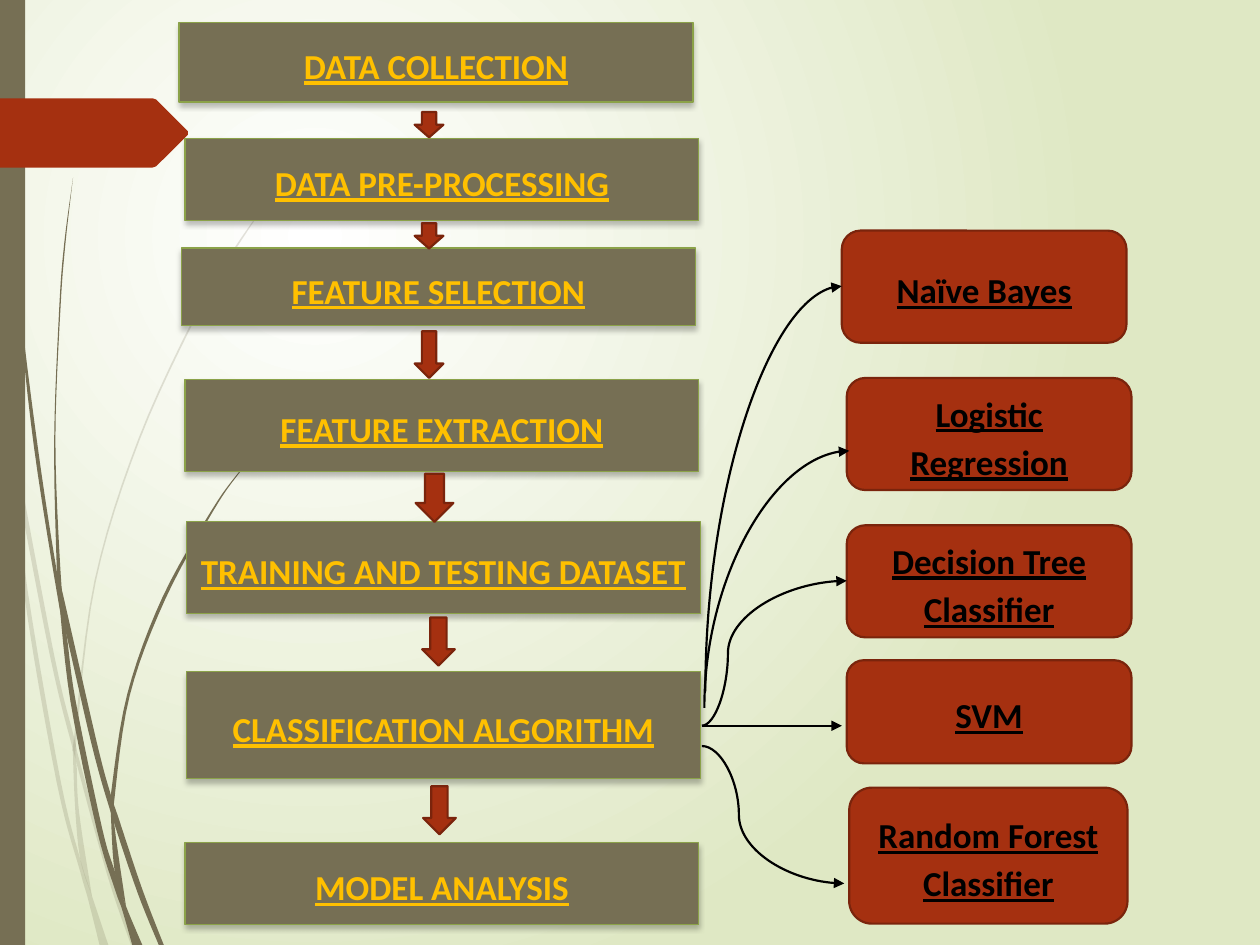
from dataclasses import dataclass
from typing import NamedTuple

from pptx import Presentation
from pptx.dml.color import RGBColor
from pptx.enum import shapes as kinds, text as txt
from pptx.oxml import parse_xml
from pptx.oxml.ns import nsdecls, qn
from pptx.util import Cm, Pt


@dataclass(frozen=True)
class Theme:
    olive: str = "766F54"
    rust: str = "A53010"
    gold: str = "FFC000"
    black: str = "000000"
    green: str = "8BA249"
    brown: str = "7A240C"
    white: str = "FFFFFF"
    pale: str = "DFE8C4"
    font: str = "Calibri"
    size: int = 20
    thin: float = 0.75
    thick: float = 1.25


class Box(NamedTuple):
    left: float
    top: float
    width: float
    height: float
    label: str = ""


class Link(NamedTuple):
    start: tuple[float, float]
    end: tuple[float, float]
    form: str
    bend: float | None = None


class Wisp(NamedTuple):
    outer: list[tuple[int, int]]
    inner: list[tuple[int, int]]
    alpha: int = 100


LOOK = Theme()
UNIT = Cm(2.54) / 100
STEP = 10.36
SIDE = 5.74

STEPS = [
    Box(3.61, 0.46, STEP, 1.6, "DATA COLLECTION"),
    Box(3.73, 2.79, STEP, 1.65, "DATA PRE-PROCESSING"),
    Box(3.66, 5, STEP, 1.57, "FEATURE SELECTION"),
    Box(3.73, 7.65, STEP, 1.85, "FEATURE EXTRACTION"),
    Box(3.76, 10.52, STEP, 1.85, "TRAINING AND TESTING DATASET"),
    Box(3.76, 13.54, STEP, 2.16, "CLASSIFICATION ALGORITHM"),
    Box(3.73, 16.99, STEP, 1.65, "MODEL ANALYSIS"),
]
ARROWS = [
    Box(8.36, 2.26, 0.58, 0.51),
    Box(8.36, 4.5, 0.58, 0.51),
    Box(8.36, 6.68, 0.58, 0.94),
    Box(8.38, 9.55, 0.76, 0.97),
    Box(8.51, 12.45, 0.66, 0.97),
    Box(8.53, 15.85, 0.66, 0.97),
]
MODELS = [
    Box(16.97, 4.65, SIDE, 2.26, "Naïve Bayes"),
    Box(17.07, 7.62, SIDE, 2.26, "Logistic Regression"),
    Box(17.07, 10.59, SIDE, 2.26, "Decision Tree Classifier"),
    Box(17.07, 13.31, SIDE, 2.08, "SVM"),
    Box(17.12, 15.88, 5.61, 2.74, "Random Forest Classifier"),
]
LINKS = [
    Link((14.22, 13.94), (16.97, 5.77), "curvedConnector2"),
    Link((14.2, 14.27), (17.12, 9.09), "curvedConnector2"),
    Link((14.15, 14.63), (17.07, 11.71), "curvedConnector3", 0.18),
    Link((14.15, 14.63), (16.97, 14.63), "line"),
    Link((14.15, 15.04), (17.02, 17.81), "curvedConnector3", 0.26),
]
WISPS = [
    Wisp([(0, 282), (10, 345), (43, 520), (59, 586), (64, 607), (88, 692), (108, 750)],
         [(0, 299), (7, 344), (12, 376), (40, 522), (59, 599), (85, 694), (104, 750)], 20),
    Wisp([(8, 350), (12, 376), (22, 469), (48, 619), (64, 683), (73, 711), (86, 750)],
         [(8, 350), (19, 470), (45, 621), (64, 693), (70, 714), (79, 750)], 20),
    Wisp([(217, 153), (187, 198), (159, 245), (111, 349), (76, 462), (61, 584), (61, 610),
          (63, 646), (73, 711)],
         [(217, 153), (186, 197), (158, 244), (110, 348), (75, 461), (59, 584), (58, 599),
          (60, 646), (64, 683), (73, 711)], 20),
    Wisp([(3, 0), (4, 48), (6, 109), (15, 232), (30, 355), (45, 453), (50, 472), (77, 590),
          (88, 631), (94, 649), (113, 706), (130, 750)],
         [(2, 0), (3, 48), (5, 110), (14, 233), (27, 355), (47, 481), (53, 505), (73, 592),
          (88, 645), (109, 708), (126, 750)]),
    Wisp([(47, 477), (53, 505), (60, 556), (81, 657), (91, 691), (100, 719), (113, 750)],
         [(47, 477), (56, 557), (77, 659), (92, 708), (97, 722), (105, 750)]),
    Wisp([(58, 141), (52, 193), (48, 245), (44, 349), (48, 453), (53, 505)],
         [(58, 141), (51, 193), (47, 245), (43, 349), (45, 449), (47, 477), (53, 505)]),
    Wisp([(216, 344), (191, 374), (169, 406), (131, 476), (103, 552), (91, 633), (91, 656),
          (100, 719)],
         [(216, 344), (191, 373), (168, 405), (129, 474), (101, 551), (88, 631), (88, 645),
          (91, 691), (100, 719)]),
]
TAG = [(0, 78), (121, 78), (124, 79), (149, 104), (149, 107), (124, 132), (121, 133), (0, 133)]


def node(tag: str, attrs: str = "", inner: str = ""):
    return parse_xml(f"<a:{tag} {nsdecls('a')} {attrs}>{inner}</a:{tag}>")


def paint(shape, fill: str, line: str | None = None, width: float = LOOK.thick) -> None:
    shape.shadow.inherit = False
    shape.fill.solid()
    shape.fill.fore_color.rgb = RGBColor.from_string(fill)
    if line is None:
        shape.line.fill.background()
    else:
        shape.line.color.rgb = RGBColor.from_string(line)
        shape.line.width = Pt(width)


def write(shape, words: str, *, color: str, size: int = LOOK.size, bold: bool = True,
          under: bool = True) -> None:
    frame = shape.text_frame
    frame.word_wrap = True
    frame.vertical_anchor = txt.MSO_ANCHOR.MIDDLE
    para = frame.paragraphs[0]
    para.alignment = txt.PP_ALIGN.CENTER
    para.line_spacing = 1.15
    para.space_after = Pt(10)
    run = para.add_run()
    run.text = words
    font = run.font
    font.name, font.size, font.bold, font.underline = LOOK.font, Pt(size), bold, under
    font.color.rgb = RGBColor.from_string(color)


def place(slide, kind, box: Box):
    return slide.shapes.add_shape(kind, *map(Cm, box[:4]))


def shade(shape) -> None:
    color = f'<a:srgbClr val="{LOOK.black}"><a:alpha val="25000"/></a:srgbClr>'
    drop = node("outerShdw", f'blurRad="{Pt(3)}" dist="{Pt(2)}" dir="5400000"', color)
    shape._element.spPr.find(qn("a:effectLst")).append(drop)


def smooth(points: list[tuple[int, int]], parts: int = 6) -> list[tuple[float, float]]:
    ends = [points[0], *points, points[-1]]
    curve = []
    for a, b, c, d in zip(ends, ends[1:], ends[2:], ends[3:]):
        for i in range(parts):
            t = i / parts
            curve.append(tuple(
                q + t / 2 * (r - p + t * (2 * p - 5 * q + 4 * r - s + t * (3 * q - p - 3 * r + s)))
                for p, q, r, s in zip(a, b, c, d)))
    return [*curve, points[-1]]


def trace(slide, points, fill: str, alpha: int = 100) -> None:
    first, *rest = [(x * UNIT, y * UNIT) for x, y in points]
    pen = slide.shapes.build_freeform(*first)
    pen.add_line_segments(rest, close=True)
    shape = pen.convert_to_shape()
    paint(shape, fill)
    if alpha < 100:
        color = shape._element.spPr.find(qn("a:solidFill"))[0]
        color.append(node("alpha", f'val="{alpha * 1000}"'))


def join(slide, link: Link) -> None:
    (x1, y1), (x2, y2) = link.start, link.end
    turned = link.form == "curvedConnector2"
    if turned:
        mid_x, mid_y = (x1 + x2) / 2, (y1 + y2) / 2
        half_x, half_y = (x2 - x1) / 2, (y1 - y2) / 2
        x1, y1, x2, y2 = mid_x + half_y, mid_y + half_x, mid_x - half_y, mid_y - half_x
    line = slide.shapes.add_connector(kinds.MSO_CONNECTOR.CURVE, *map(Cm, (x1, y1, x2, y2)))
    line.line.color.rgb = RGBColor.from_string(LOOK.black)
    line.line.width = Pt(LOOK.thick)
    props = line._element.spPr
    props.find(qn("a:ln")).append(node("tailEnd", 'type="triangle"'))
    props.append(node("effectLst"))
    if turned:
        props.find(qn("a:xfrm")).set("rot", "5400000")
    shape = props.find(qn("a:prstGeom"))
    shape.set("prst", link.form)
    if link.bend is not None:
        guide = node("gd", f'name="adj1" fmla="val {round(link.bend * 100000)}"')
        shape.find(qn("a:avLst")).append(guide)


def wash(slide) -> None:
    stops = "".join(f'<a:gs pos="{pos}"><a:srgbClr val="{color}"/></a:gs>'
                    for pos, color in ((0, LOOK.white), (100000, LOOK.pale)))
    focus = '<a:fillToRect l="50000" t="50000" r="100000" b="100000"/>'
    slide._element.cSld.insert(0, parse_xml(
        f'<p:bg {nsdecls("p", "a")}><p:bgPr><a:gradFill rotWithShape="1">'
        f'<a:gsLst>{stops}</a:gsLst><a:path path="circle">{focus}</a:path>'
        f'</a:gradFill><a:effectLst/></p:bgPr></p:bg>'))


def main() -> None:
    deck = Presentation()
    deck.slide_width, deck.slide_height = Cm(25.4), Cm(19.05)
    slide = deck.slides.add_slide(deck.slide_layouts[6])
    form = kinds.MSO_SHAPE
    wash(slide)
    for wisp in WISPS:
        trace(slide, smooth(wisp.outer) + smooth(wisp.inner)[::-1], LOOK.olive, wisp.alpha)
    paint(place(slide, form.RECTANGLE, Box(0, 0, 0.51, 19.05)), LOOK.olive)
    trace(slide, TAG, LOOK.rust)
    for box in STEPS:
        shape = place(slide, form.RECTANGLE, box)
        paint(shape, LOOK.olive, LOOK.green, LOOK.thin)
        shade(shape)
        write(shape, box.label, color=LOOK.gold)
    for box in ARROWS:
        paint(place(slide, form.DOWN_ARROW, box), LOOK.rust, LOOK.brown)
    for box in MODELS:
        shape = place(slide, form.ROUNDED_RECTANGLE, box)
        paint(shape, LOOK.rust, LOOK.brown)
        write(shape, box.label, color=LOOK.black)
    for link in LINKS:
        join(slide, link)
    deck.save("out.pptx")


if __name__ == "__main__":
    main()
